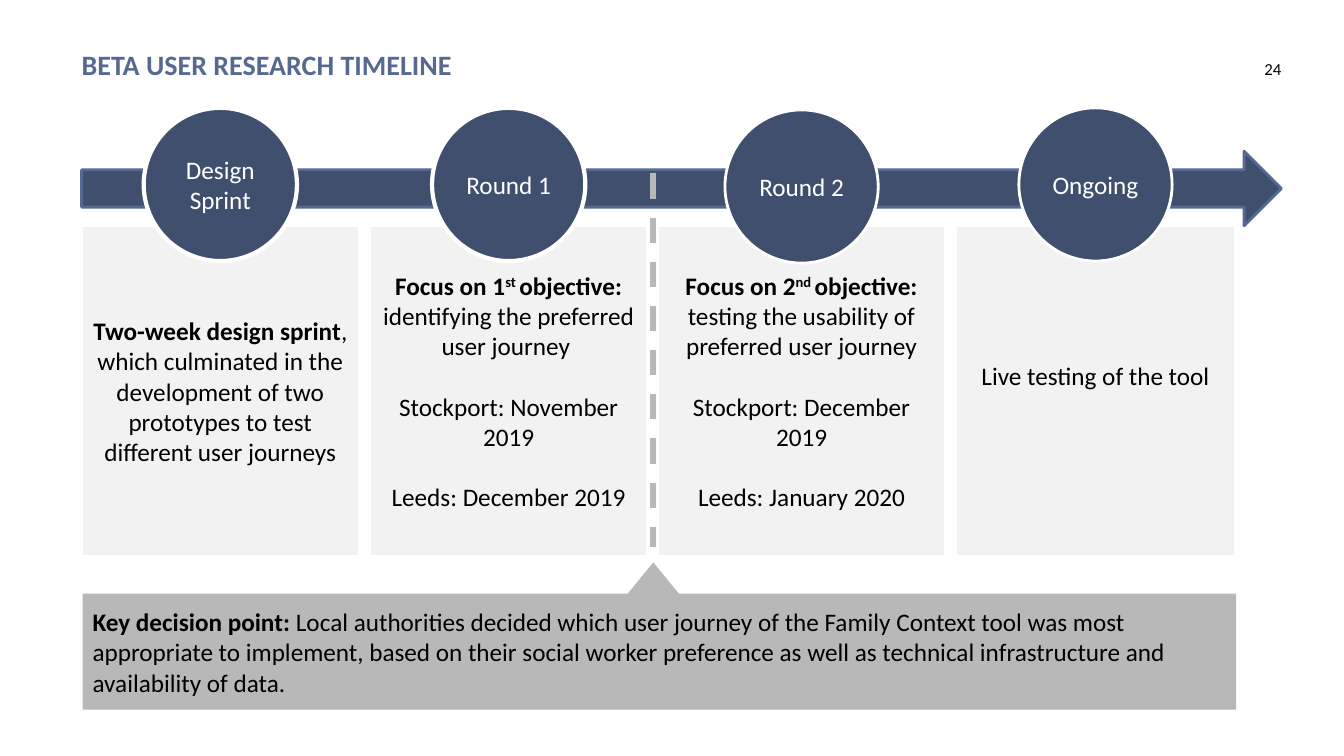
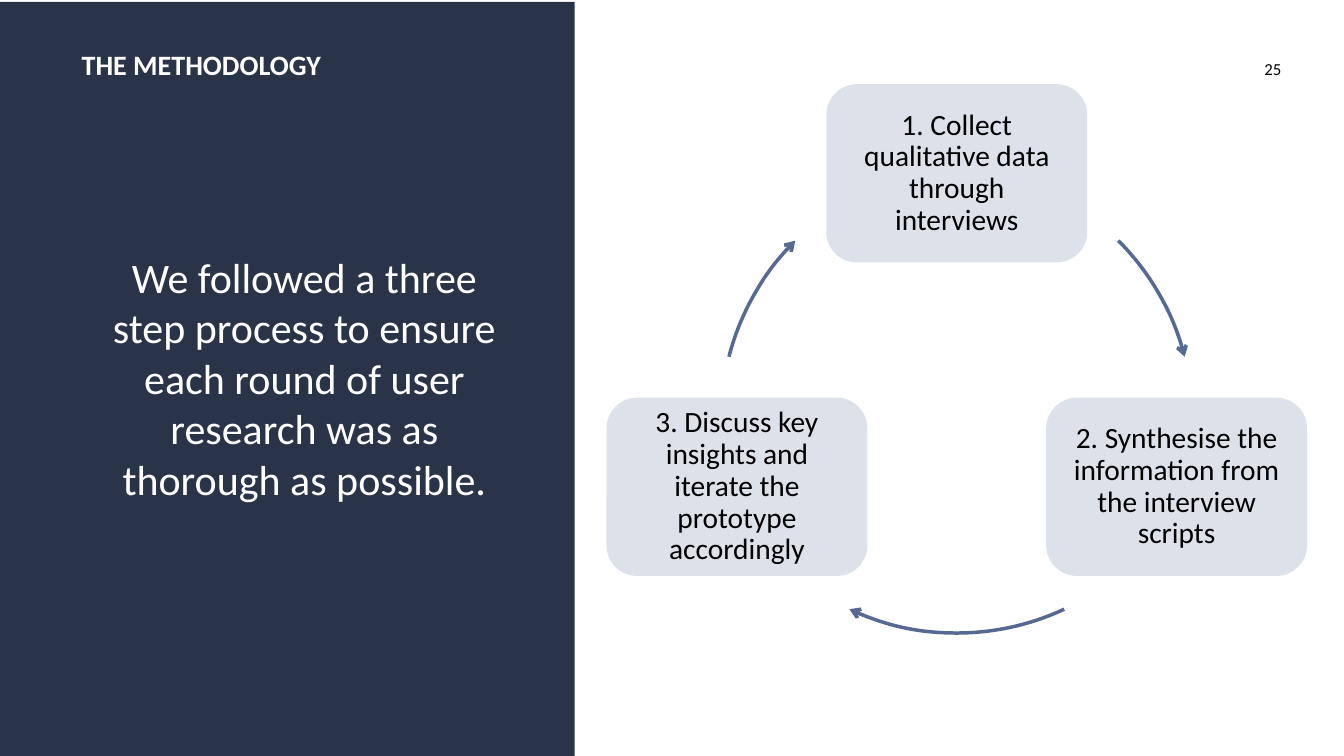
from lxml import etree
from pptx import Presentation
from pptx.dml.color import RGBColor
from pptx.enum.dml import MSO_LINE
from pptx.enum.shapes import MSO_CONNECTOR, MSO_SHAPE
from pptx.enum.text import MSO_ANCHOR, MSO_AUTO_SIZE, PP_ALIGN
from pptx.oxml.ns import qn
from pptx.util import Inches, Pt

BLACK = RGBColor(0x00, 0x00, 0x00)
WHITE = RGBColor(0xFF, 0xFF, 0xFF)
NAVY = RGBColor(0x2A, 0x34, 0x48)
SLATE = RGBColor(0x40, 0x4F, 0x6D)
BLUE = RGBColor(0x55, 0x69, 0x91)
PALE_BLUE = RGBColor(0xDC, 0xE1, 0xEA)
PALE_GREY = RGBColor(0xF2, 0xF2, 0xF2)
GREY = RGBColor(0xB8, 0xB8, 0xB8)

LEFT, CENTER, RIGHT = PP_ALIGN.LEFT, PP_ALIGN.CENTER, PP_ALIGN.RIGHT
TOP, MIDDLE = MSO_ANCHOR.TOP, MSO_ANCHOR.MIDDLE
RECTANGLE, ROUNDED = MSO_SHAPE.RECTANGLE, MSO_SHAPE.ROUNDED_RECTANGLE
OVAL, TRIANGLE = MSO_SHAPE.OVAL, MSO_SHAPE.ISOSCELES_TRIANGLE
RIGHT_ARROW, ARC = MSO_SHAPE.RIGHT_ARROW, MSO_SHAPE.ARC
STRAIGHT = MSO_CONNECTOR.STRAIGHT
DASH = MSO_LINE.DASH
NO_AUTOFIT = MSO_AUTO_SIZE.NONE

FONT = "Calibri"
TITLE_ONLY = 5
ADJUSTMENT_PER_DEGREE = 0.6
PLAIN, BOLD, BOLD_SUPERSCRIPT = "plain", "bold", "bold superscript"


def write_text(shape, paragraphs, size=18, color=BLACK, align=CENTER, anchor=MIDDLE,
               margins=(0.1, 0.05, 0.1, 0.05), gap=0, line_spacing=None):
    frame = shape.text_frame
    frame.word_wrap = True
    frame.auto_size = NO_AUTOFIT
    frame.vertical_anchor = anchor
    (frame.margin_left, frame.margin_top,
     frame.margin_right, frame.margin_bottom) = map(Inches, margins)
    for index, runs in enumerate(paragraphs):
        paragraph = frame.add_paragraph() if index else frame.paragraphs[0]
        paragraph.alignment = align
        paragraph.space_before = Pt(gap if index else 0)
        paragraph.line_spacing = line_spacing
        for text, style in runs:
            run = paragraph.add_run()
            run.text = text
            run.font.name = FONT
            run.font.size = Pt(size)
            run.font.color.rgb = color
            run.font.bold = style != PLAIN
            if style == BOLD_SUPERSCRIPT:
                run.font._element.set("baseline", "30000")


class Deck:
    def __init__(self):
        self.presentation = Presentation()
        self.presentation.slide_width = Inches(13.33)
        self.presentation.slide_height = Inches(7.5)
        self.slide = None

    def start_slide(self, title, number, title_color=BLUE):
        layout = self.presentation.slide_layouts[TITLE_ONLY]
        self.slide = self.presentation.slides.add_slide(layout)
        placeholder = self.slide.shapes.title
        placeholder.left, placeholder.top = Inches(0.81), Inches(0.47)
        placeholder.width, placeholder.height = Inches(10.64), Inches(0.74)
        write_text(placeholder, [[(title, BOLD)]], size=20, color=title_color,
                   align=LEFT, anchor=TOP, margins=(0, 0, 0, 0))
        self.text_box(12.33, 0.58, 0.38, 0.4, number, size=12, align=RIGHT,
                      anchor=TOP, margins=(0, 0, 0, 0))

    def shape(self, kind, left, top, width, height, fill=None, line=None, line_width=2):
        shape = self.slide.shapes.add_shape(
            kind, Inches(left), Inches(top), Inches(width), Inches(height))
        shape.shadow.inherit = False
        if fill is None:
            shape.fill.background()
        else:
            shape.fill.solid()
            shape.fill.fore_color.rgb = fill
        if line is None:
            shape.line.fill.background()
        else:
            shape.line.color.rgb = line
            shape.line.width = Pt(line_width)
        return shape

    def text_box(self, left, top, width, height, text, **text_format):
        box = self.slide.shapes.add_textbox(
            Inches(left), Inches(top), Inches(width), Inches(height))
        write_text(box, [[(text, PLAIN)]], **text_format)

    def side_panel(self, width):
        panel = self.shape(RECTANGLE, 0, 0.02, width, 7.5, NAVY)
        self.slide.shapes.title.element.addprevious(panel.element)

    def stage(self, left, width, label, paragraphs, circle_top=1.07, outline=3,
              **text_format):
        card = self.shape(RECTANGLE, left, 2.23, width, 3.3, PALE_GREY, WHITE, 3)
        write_text(card, paragraphs, gap=21.6, **text_format)
        diameter = 1.52
        circle = self.shape(OVAL, left + (width - diameter) / 2, circle_top,
                            diameter, diameter, SLATE, WHITE, outline)
        write_text(circle, [[(label, PLAIN)]], color=WHITE)

    def dashed_line(self, x, top, bottom):
        line = self.slide.shapes.add_connector(
            STRAIGHT, Inches(x), Inches(top), Inches(x), Inches(bottom))
        line.line.color.rgb = GREY
        line.line.width = Pt(4.5)
        line.line.dash_style = DASH
        etree.SubElement(line.element.spPr, qn("a:effectLst"))

    def step(self, left, top, text):
        box = self.shape(ROUNDED, left, top, 2.56, 1.74, PALE_BLUE, PALE_BLUE)
        write_text(box, [[(text, PLAIN)]], size=21, line_spacing=0.9,
                   margins=(0.09, 0, 0.09, 0))

    def arc_arrow(self, left, top, diameter, start, end):
        arc = self.shape(ARC, left, top, diameter, diameter, line=BLUE, line_width=2.5)
        arc.adjustments[0] = start * ADJUSTMENT_PER_DEGREE
        arc.adjustments[1] = end * ADJUSTMENT_PER_DEGREE
        etree.SubElement(arc.line._get_or_add_ln(), qn("a:tailEnd"), type="arrow")


def build_timeline(deck):
    deck.start_slide("BETA USER RESEARCH TIMELINE", "24")
    deck.shape(RIGHT_ARROW, 0.81, 1.5, 11.9, 0.74, SLATE, BLUE)

    def research_round(number, suffix, focus, *sessions):
        heading = [(f"Focus on {number}", BOLD), (f"{suffix} ", BOLD_SUPERSCRIPT),
                   ("objective:", BOLD), (f" {focus}", PLAIN)]
        return [heading] + [[(session, PLAIN)] for session in sessions]

    stages = [
        (2.77, "Design Sprint", [[
            ("Two-week design sprint", BOLD),
            (", which culminated in the development of two prototypes "
             "to test different user journeys", PLAIN)]], {}),
        (2.77, "Round 1", research_round(
            1, "st", "identifying the preferred user journey ",
            "Stockport: November 2019", "Leeds: December 2019"), {}),
        (2.86, "Round 2", research_round(
            2, "nd", "testing the usability of preferred user journey",
            "Stockport: December 2019", "Leeds: January 2020"),
         {"circle_top": 1.09, "outline": 2}),
        (2.79, "Ongoing", [[("Live testing of the tool", PLAIN)]],
         {"outline": 2, "margins": (0.1, 0.05, 0.1, 0.36)}),
    ]
    left = 0.8
    for width, label, paragraphs, options in stages:
        deck.stage(left, width, label, paragraphs, **options)
        left += width + 0.09

    deck.dashed_line(6.48, 1.72, 5.43)
    deck.shape(TRIANGLE, 6.21, 5.58, 0.54, 0.33, GREY)
    decision = deck.shape(RECTANGLE, 0.82, 5.89, 11.44, 1.15, GREY)
    write_text(decision, [[
        ("Key decision point: ", BOLD),
        ("Local authorities decided which user journey of the Family Context tool was "
         "most appropriate to implement, based on their social worker preference as well "
         "as technical infrastructure and availability of data.", PLAIN)]], align=LEFT)


def build_methodology(deck):
    deck.start_slide("THE METHODOLOGY", "25", title_color=WHITE)
    deck.side_panel(5.7)
    deck.text_box(0.87, 2.31, 4.3, 2.87,
                  "We followed a three step process to ensure each round of user "
                  "research was as thorough as possible.", size=30, color=WHITE)
    for left, top, text in [
        (8.21, 0.85, "1. Collect qualitative data through interviews"),
        (10.39, 3.96, "2. Synthesise the information from the interview scripts"),
        (6.03, 3.96, "3. Discuss key insights and iterate the prototype accordingly"),
    ]:
        deck.step(left, top, text)
    for left, top, start, end in [
        (6.79, 1.65, 315, 345.5),
        (6.97, 1.24, 65, 115),
        (7.15, 1.65, 194.5, 225),
    ]:
        deck.arc_arrow(left, top, 5.04, start, end)


def main():
    deck = Deck()
    build_timeline(deck)
    build_methodology(deck)
    deck.presentation.save("out.pptx")


if __name__ == "__main__":
    main()
